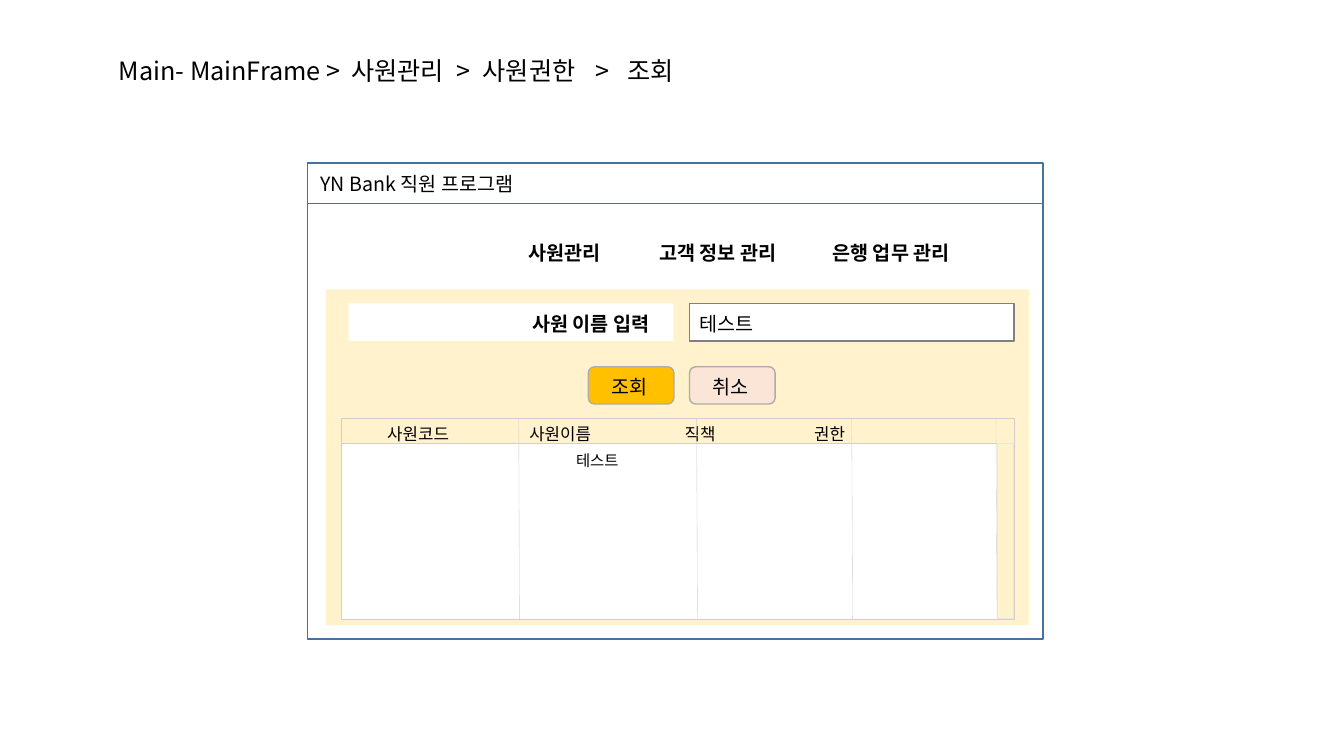
from lxml.etree import SubElement
from pptx import Presentation
from pptx.dml.color import RGBColor
from pptx.enum.shapes import MSO_CONNECTOR as Connector, MSO_SHAPE as Shape
from pptx.oxml.ns import qn
from pptx.util import Pt

FONT = "Noto Sans CJK KR"
COLORS = {
    "text": "000000",
    "white": "FFFFFF",
    "frame": "43739E",
    "panel": "FFF2CC",
    "field": "808080",
    "search": "FFC000",
    "cancel": "FBE5D6",
    "button_edge": "AFABAB",
    "grid": "D0CECE",
    "scrollbar_edge": "E7E6E6",
}


def color(name):
    return RGBColor.from_string(COLORS[name])


def add_panel(page, left, top, width, height, fill=None, line=None, weight=1,
              kind=Shape.RECTANGLE):
    panel = page.shapes.add_shape(kind, Pt(left), Pt(top), Pt(width), Pt(height))
    panel.shadow.inherit = False
    if fill:
        panel.fill.solid()
        panel.fill.fore_color.rgb = color(fill)
    else:
        panel.fill.background()
    if line:
        panel.line.color.rgb = color(line)
        panel.line.width = Pt(weight)
    else:
        panel.line.fill.background()


def add_text(page, text, left, top, width, size=14, bold=False, tabs=()):
    """Add one line of text; tabs are distances from the start of the line."""
    box = page.shapes.add_textbox(Pt(left), Pt(top), Pt(width), Pt(size * 1.2 + 7.2))
    box.text_frame.word_wrap = True
    para = box.text_frame.paragraphs[0]
    para.text = text
    if tabs:
        stops = SubElement(para._p.get_or_add_pPr(), qn("a:tabLst"))
        for stop in tabs:
            SubElement(stops, qn("a:tab"), pos=str(Pt(stop)), algn="l")
    font = para.font
    font.name, font.size, font.bold = FONT, Pt(size), bold
    font.color.rgb = color("text")
    for span in para.runs:
        fonts = span._r.get_or_add_rPr()
        SubElement(fonts, qn("a:ea"), typeface=FONT)


def add_divider(page, x, top, bottom, slant):
    divider = page.shapes.add_connector(
        Connector.STRAIGHT, Pt(x), Pt(top), Pt(x + slant), Pt(bottom))
    divider.line.color.rgb = color("grid")
    divider.line.width = Pt(0.25)
    SubElement(divider._element.spPr, qn("a:effectLst"))


def add_button(page, label, left, fill):
    add_panel(page, left, 262, 61.2, 26.6, fill, "button_edge",
              kind=Shape.ROUNDED_RECTANGLE)
    add_text(page, label, left + 9.6, 263.9, 52)


def add_window(page):
    add_panel(page, 219.6, 116.6, 525.6, 339.8, line="frame")
    add_panel(page, 219.6, 116.6, 525.6, 28.8, line="frame")
    add_text(page, "YN Bank 직원 프로그램", 221.8, 119.3, 342.7)
    menu = [("사원관리", 370.5, 99), ("고객 정보 관리", 463.7, 118),
            ("은행 업무 관리", 587.5, 119)]
    for label, left, width in menu:
        add_text(page, label, left, 168.5, width, bold=True)


def add_search_form(page):
    add_panel(page, 232.8, 206.8, 502.4, 239.8, "panel")
    add_panel(page, 249.1, 216.7, 232, 26.8, "white")
    add_panel(page, 492.5, 216.7, 232, 26.8, "white", "field")
    add_text(page, "사원 이름 입력", 373, 219.4, 116.6, bold=True)
    add_text(page, "테스트", 492.5, 219.2, 119.5)
    add_button(page, "조회", 420.2, "search")
    add_button(page, "취소", 492.5, "cancel")


def add_results(page):
    left, top, width, height, header = 243.6, 298.8, 481, 143.3, 18
    add_panel(page, left, top, width, height, "white", "grid", 0.25)
    add_panel(page, left, top, width, header, "panel", "grid", 0.25)
    add_text(page, "사원코드\t사원이름\t직책\t권한", 269.5, top, 450, 12,
             tabs=(101.5, 212.5, 305))
    add_panel(page, 712.2, top + header, 11.8, height - header, "panel",
              "scrollbar_edge", 0.5)
    for x, slant in [(370.6, 0.4), (497.6, 0.6), (608.4, 0.6), (711.4, 0.8)]:
        add_divider(page, x, top, top + height, slant)
    add_text(page, "테스트", 404.4, 318.8, 119.5, 11)


def main():
    deck = Presentation()
    deck.slide_width, deck.slide_height = Pt(960), Pt(540)
    page = deck.slides.add_slide(deck.slide_layouts[6])
    add_window(page)
    add_search_form(page)
    add_results(page)
    add_text(page, "Main- MainFrame >\t사원관리\t>\t사원권한\t>\t조회", 77.8, 36, 667.4, 18,
             tabs=(166, 241.5, 260, 340.5, 363))
    deck.save("out.pptx")


if __name__ == "__main__":
    main()
